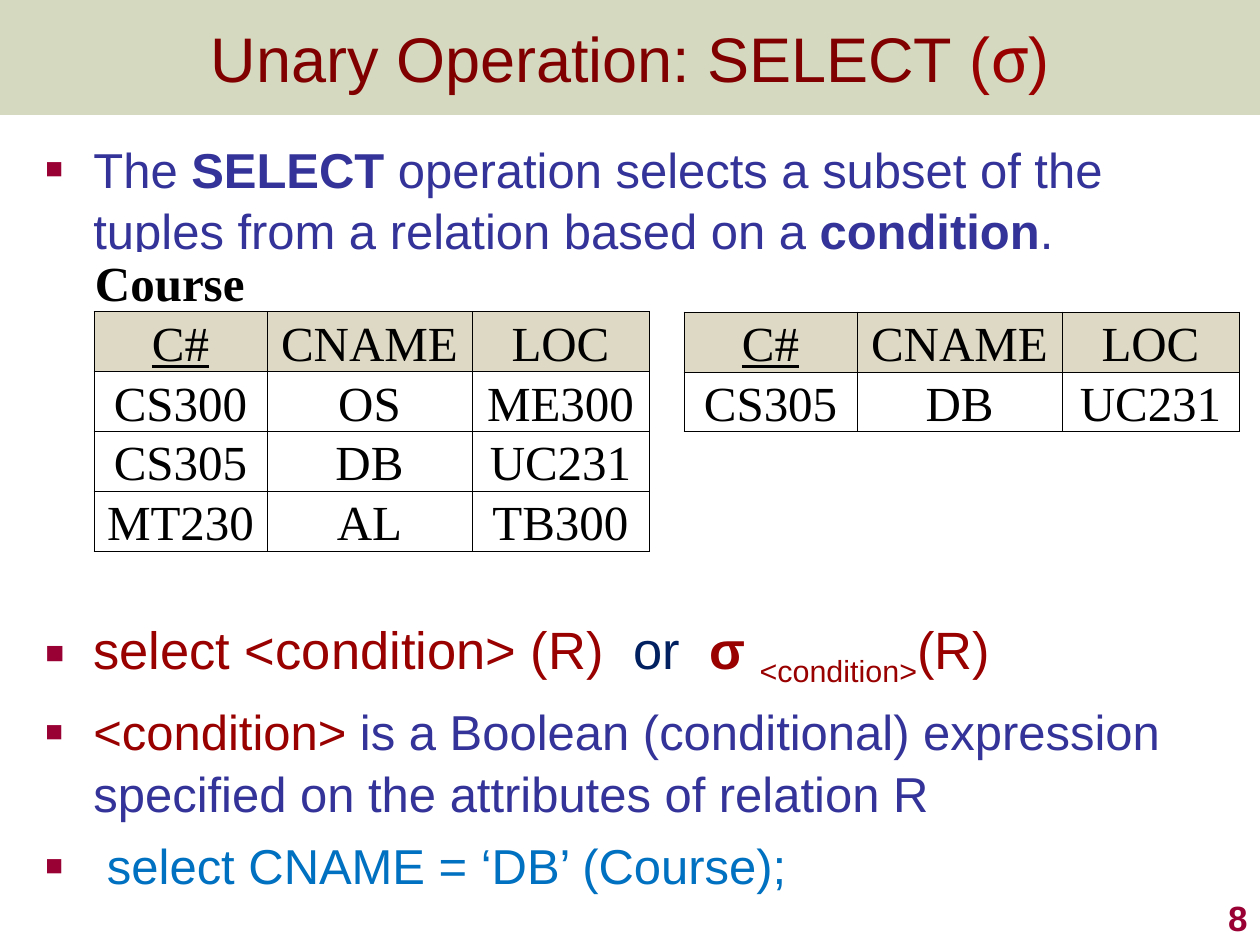
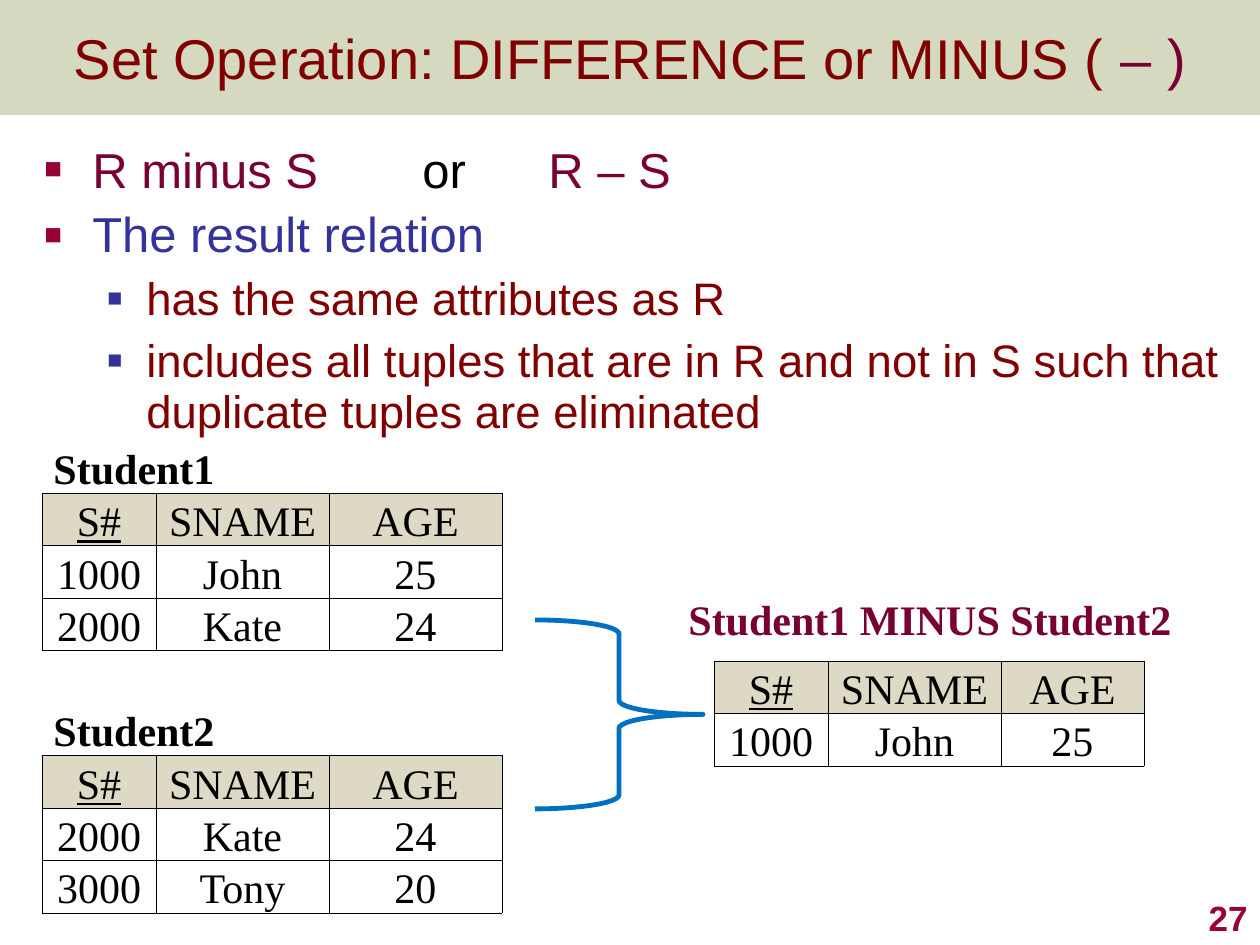
from dataclasses import dataclass

from lxml.etree import SubElement
from pptx import Presentation
from pptx.dml.color import RGBColor
from pptx.enum.shapes import MSO_SHAPE
from pptx.enum.text import MSO_ANCHOR, MSO_AUTO_SIZE, PP_ALIGN
from pptx.oxml.ns import qn
from pptx.util import Emu, Pt

EMU_PER_PX = 914400 / 126


@dataclass(frozen=True)
class Theme:
    """Colours, fonts and type sizes shared by the slides."""

    band: str = "76822E"
    band_alpha: int = 30
    title: str = "800000"
    red: str = "990000"
    plum: str = "790033"
    crimson: str = "990033"
    indigo: str = "333399"
    navy: str = "002060"
    blue: str = "0070C0"
    black: str = "000000"
    white: str = "FFFFFF"
    header: str = "DDD9C4"
    sans: str = "Arial"
    serif: str = "Times New Roman"
    symbol: str = "Cambria"
    title_size: int = 36
    long_title_size: int = 32
    formula_size: int = 30
    body_size: int = 28
    detail_size: int = 26
    small_table_size: int = 24
    number_size: int = 20


THEME = Theme()


@dataclass(frozen=True)
class Span:
    """A stretch of text with one look."""

    text: str
    color: str
    bold: bool = False
    font: str = ""
    subscript: bool = False


@dataclass(frozen=True)
class Bullet:
    """A bulleted paragraph with its spacing."""

    spans: tuple
    size: int = THEME.body_size
    level: int = 0
    before: int = 6
    spacing: float = 1.05
    tabs: tuple = ()


def px(length):
    """Turn pixels into EMU."""
    return Emu(round(length * EMU_PER_PX))


def rgb(color):
    """Turn a hex string into a colour."""
    return RGBColor.from_string(color)


def style(font, size, color, name=THEME.sans, bold=False):
    """Set the shared look of a font."""
    font.size, font.name, font.bold = Pt(size), name, bold
    font.color.rgb = rgb(color)


def write_spans(para, spans, size):
    """Fill a paragraph, formatting only the spans that differ from the first."""
    first = spans[0]
    style(para.font, size, first.color)
    for item in spans:
        span = para.add_run()
        span.text = item.text
        if item.color != first.color:
            span.font.color.rgb = rgb(item.color)
        if item.bold:
            span.font.bold = True
        if item.font:
            span.font.name = item.font
        if item.subscript:
            span.font._element.set("baseline", "-25000")


def add_band(page):
    """Lay the translucent band behind the title."""
    band = page.shapes.add_shape(MSO_SHAPE.RECTANGLE, 0, 0, px(1260), px(115))
    band.shadow.inherit = False
    band.fill.solid()
    band.fill.fore_color.rgb = rgb(THEME.band)
    color = band.element.spPr.find(qn("a:solidFill"))[0]
    SubElement(color, qn("a:alpha")).set("val", str(THEME.band_alpha * 1000))
    band.line.fill.background()
    page.shapes.title.element.addprevious(band.element)


def add_text_box(page, left, top, width, height):
    """Add a wrapping text box and return its frame."""
    box = page.shapes.add_textbox(px(left), px(top), px(width), px(height))
    box.text_frame.word_wrap = True
    return box.text_frame


def add_page(deck, spans, size, number):
    """Add a slide with its band, title and number."""
    page = deck.slides.add_slide(deck.slide_layouts[5])
    title = page.shapes.title
    title.left, title.top, title.width, title.height = 0, 0, px(1260), px(115)
    frame = title.text_frame
    frame.auto_size = MSO_AUTO_SIZE.NONE
    frame.vertical_anchor = MSO_ANCHOR.MIDDLE
    frame.paragraphs[0].alignment = PP_ALIGN.CENTER
    write_spans(frame.paragraphs[0], spans, size)
    add_band(page)
    frame = add_text_box(page, 998, 882, 262, 63)
    frame.vertical_anchor = MSO_ANCHOR.BOTTOM
    para = frame.paragraphs[0]
    para.text = str(number)
    para.alignment = PP_ALIGN.RIGHT
    style(para.font, THEME.number_size, THEME.crimson, bold=True)
    return page


def mark_bullet(para, level, tabs):
    """Give a paragraph its square bullet, hanging indent and tab stops."""
    margin, hang, color, percent = (
        (48, 48, THEME.crimson, 60),
        (102, 39, THEME.indigo, 55),
    )[level]
    para.level = level
    props = para._p.get_or_add_pPr()
    props.set("marL", str(px(margin)))
    props.set("indent", str(-px(hang)))
    SubElement(SubElement(props, qn("a:buClr")), qn("a:srgbClr")).set("val", color)
    SubElement(props, qn("a:buSzPct")).set("val", str(percent * 1000))
    SubElement(props, qn("a:buFont")).set("typeface", THEME.sans)
    SubElement(props, qn("a:buChar")).set("char", "■")
    if tabs:
        stops = SubElement(props, qn("a:tabLst"))
        for stop in tabs:
            SubElement(stops, qn("a:tab"), pos=str(px(stop)), algn="l")


def add_bullets(page, left, top, width, height, bullets):
    """Add the bulleted body text."""
    frame = add_text_box(page, left, top, width, height)
    frame.margin_right = 0
    for index, bullet in enumerate(bullets):
        para = frame.add_paragraph() if index else frame.paragraphs[0]
        para.line_spacing = bullet.spacing
        if index:
            para.space_before = Pt(bullet.before)
        mark_bullet(para, bullet.level, bullet.tabs)
        write_spans(para, bullet.spans, bullet.size)


def format_cell(cell, edges, fill):
    """Draw the named edges of a cell, then fill it."""
    props = cell._tc.get_or_add_tcPr()
    for edge in "LRTB":
        line = SubElement(props, qn(f"a:ln{edge}"), w=str(Pt(0.5)))
        if edge in edges:
            paint = SubElement(line, qn("a:solidFill"))
            SubElement(paint, qn("a:srgbClr")).set("val", THEME.black)
        else:
            SubElement(line, qn("a:noFill"))
    cell.fill.solid()
    cell.fill.fore_color.rgb = rgb(fill)
    cell.margin_left = cell.margin_right = cell.margin_top = px(1)
    cell.margin_bottom = 0
    cell.vertical_anchor = MSO_ANCHOR.BOTTOM


def add_relation(page, left, top, height, widths, rows, size):
    """Add a table: a one-item row is a caption, an empty row a gap."""
    frame = page.shapes.add_table(
        len(rows), len(widths), px(left), px(top), px(sum(widths)), px(height)
    )
    table = frame.table
    table.first_row = table.horz_banding = False
    for column, width in zip(table.columns, widths):
        column.width = px(width)
    for y, values in enumerate(rows):
        table.rows[y].height = px(height / len(rows))
        is_data = len(values) == len(widths)
        is_header = is_data and values[0].endswith("#")
        edges = "LRTB" if is_data else "B" if values else "T"
        for x in range(len(widths)):
            cell = table.cell(y, x)
            format_cell(cell, edges, THEME.header if is_header else THEME.white)
            para = cell.text_frame.paragraphs[0]
            if x < len(values):
                para.text = values[x]
            if is_data:
                para.alignment = PP_ALIGN.CENTER
            style(para.font, size, THEME.black, THEME.serif, bold=not is_data)
            para.font.underline = is_header and x == 0
        if len(values) == 1:
            table.cell(y, 0).merge(table.cell(y, len(widths) - 1))


def add_brace(page, left, top, width, height):
    """Add the brace that joins the operands to the result."""
    brace = page.shapes.add_shape(
        MSO_SHAPE.RIGHT_BRACE, px(left), px(top), px(width), px(height)
    )
    brace.shadow.inherit = False
    brace.fill.background()
    brace.line.color.rgb = rgb(THEME.blue)
    brace.line.width = Pt(2.75)


def add_label(page, left, top, width, height, text):
    """Add the caption above the result table."""
    frame = add_text_box(page, left, top, width, height)
    frame.word_wrap = False
    para = frame.paragraphs[0]
    para.text = text
    para.alignment = PP_ALIGN.CENTER
    style(para.font, THEME.small_table_size, THEME.plum, THEME.serif, bold=True)


def build_select(deck):
    """Build the SELECT slide."""
    title = (
        Span("Unary Operation: SELECT ", THEME.title),
        Span("(", THEME.red),
        Span("σ", THEME.red, font=THEME.symbol),
        Span(")", THEME.red),
    )
    page = add_page(deck, title, THEME.title_size, 8)
    add_bullets(page, 33, 130, 1206, 784, (
        Bullet((
            Span("The ", THEME.indigo),
            Span("SELECT", THEME.indigo, bold=True),
            Span(" operation selects a subset of the tuples from a relation based on a ",
                 THEME.indigo),
            Span("condition", THEME.indigo, bold=True),
            Span(".", THEME.indigo),
        )),
        Bullet((
            Span("select <condition> (R)  ", THEME.red),
            Span("or  ", THEME.navy),
            Span("σ ", THEME.red, bold=True),
            Span("<condition>", THEME.red, subscript=True),
            Span("(R)", THEME.red),
        ), size=THEME.formula_size, before=202),
        Bullet((
            Span("<condition> ", THEME.red),
            Span("is a Boolean (conditional) expression specified on the attributes "
                 "of relation R", THEME.indigo),
        )),
        Bullet((Span(" select CNAME = ‘DB’ (Course);", THEME.blue),)),
    ))
    widths = (173, 205, 177)
    header, match = ("C#", "CNAME", "LOC"), ("CS305", "DB", "UC231")
    course = (
        ("Course",), header, ("CS300", "OS", "ME300"), match, ("MT230", "AL", "TB300")
    )
    add_relation(page, 94, 252, 280, widths, course, THEME.body_size)
    add_relation(page, 684, 312, 112, widths, (header, match), THEME.body_size)


def build_difference(deck):
    """Build the DIFFERENCE slide."""
    title = (
        Span("Set Operation: DIFFERENCE or MINUS ( ", THEME.title),
        Span("– )", THEME.plum),
    )
    page = add_page(deck, title, THEME.long_title_size, 27)
    details = (
        "has the same attributes as R",
        "includes all tuples that are in R and not in S such that duplicate tuples "
        "are eliminated",
    )
    add_bullets(page, 32, 130, 1207, 305, (
        Bullet((
            Span("R minus S \t", THEME.plum),
            Span("or \t", THEME.black),
            Span("R – S", THEME.plum),
        ), tabs=(378, 504)),
        Bullet((Span("The result relation", THEME.indigo),), spacing=0.94),
        *(Bullet((Span(text, THEME.title),), THEME.detail_size, 1, spacing=0.94)
          for text in details),
    ))
    header = ("S#", "SNAME", "AGE")
    john, kate, tony = (
        ("1000", "John", "25"), ("2000", "Kate", "24"), ("3000", "Tony", "20")
    )
    students = (
        (" Student1",), header, john, kate, (), (" Student2",), header, kate, tony
    )
    size = THEME.small_table_size
    add_relation(page, 714, 661, 105, (114, 173, 143), (header, john), size)
    add_brace(page, 535, 620, 168, 189)
    add_relation(page, 42, 441, 472, (114, 173, 173), students, size)
    add_label(page, 673, 587, 514, 63, "Student1 MINUS Student2")


def main():
    """Build and save the deck."""
    deck = Presentation()
    deck.slide_width, deck.slide_height = px(1260), px(945)
    build_select(deck)
    build_difference(deck)
    deck.save("out.pptx")


if __name__ == "__main__":
    main()
